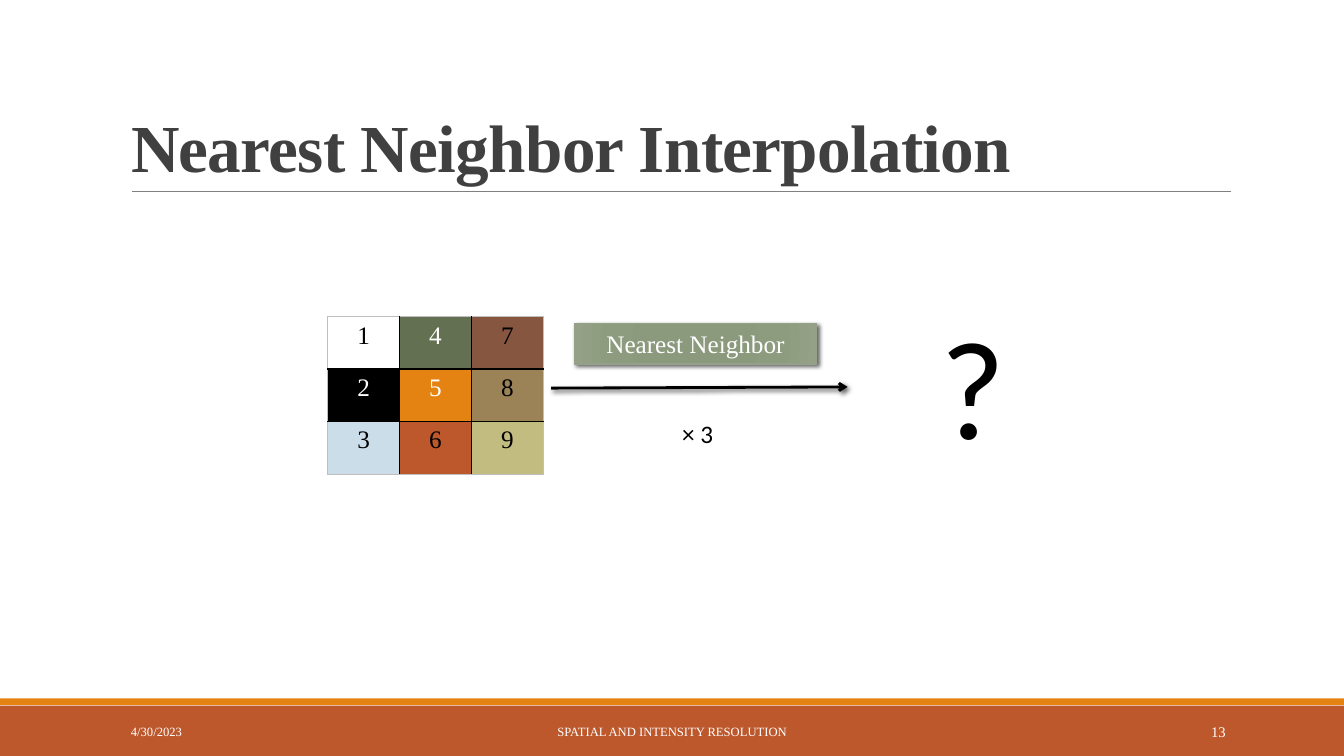
"""Build the slide on nearest neighbor interpolation."""
from dataclasses import dataclass

from pptx import Presentation
from pptx.dml.color import RGBColor
from pptx.enum.shapes import MSO_CONNECTOR, MSO_SHAPE
from pptx.enum.text import MSO_ANCHOR, PP_ALIGN
from pptx.oxml import parse_xml
from pptx.oxml.ns import nsdecls
from pptx.util import Cm, Pt

LEFT, CENTER, RIGHT = PP_ALIGN.LEFT, PP_ALIGN.CENTER, PP_ALIGN.RIGHT
TOP, MIDDLE, BOTTOM = MSO_ANCHOR.TOP, MSO_ANCHOR.MIDDLE, MSO_ANCHOR.BOTTOM
RECTANGLE, STRAIGHT = MSO_SHAPE.RECTANGLE, MSO_CONNECTOR.STRAIGHT

SERIF, SANS = "Times New Roman", "Calibri"
COLORS = {
    "white": "FFFFFF", "black": "000000", "title": "404040", "rule": "808080",
    "rust": "BD582C", "orange": "E48312", "label": "94A088", "grid": "BFBFBF",
    "moss": "637052", "brown": "865640", "tan": "9B8357", "sky": "CCDDEA",
    "khaki": "C2BC80",
}
LABEL_STOPS = {0: "8A987B", 34: "8B997D", 70: "8D9C7E", 100: "94A187"}
PIXEL_ROWS = [
    [("1", "white", "black"), ("4", "moss", "white"), ("7", "brown", "black")],
    [("2", "black", "white"), ("5", "orange", "white"), ("8", "tan", "black")],
    [("3", "sky", "black"), ("6", "rust", "black"), ("9", "khaki", "black")],
]
PIXEL_WIDTH, PIXEL_HEIGHT = 1.81, 1.32


@dataclass
class Band:
    top: float
    height: float
    color: str


@dataclass
class Caption:
    text: str
    box: tuple[float, float, float, float]
    size: float
    font: str = SERIF
    color: str = "white"
    align: int = CENTER
    anchor: int = MIDDLE


@dataclass
class Stroke:
    start: tuple[float, float]
    end: tuple[float, float]
    color: str
    width: float


BANDS = [Band(17.78, 1.27, "rust"), Band(17.6, 0.17, "orange")]
CAPTIONS = [
    Caption("4/30/2023", (3.05, 17.93, 6.86, 1.02), 9, align=LEFT),
    Caption("SPATIAL AND INTENSITY RESOLUTION", (10.24, 17.93, 13.39, 1.02), 9),
    Caption("13", (27.51, 17.93, 3.63, 1.02), 10.5, align=RIGHT),
    Caption("?", (21.49, 7.42, 6.05, 4.52), 100, SANS, "black", anchor=TOP),
    Caption("× 3", (15.09, 10.41, 4.98, 1.02), 18, SANS, "black", anchor=TOP),
]
METHOD = Caption("Nearest Neighbor", (14.48, 8.15, 6.1, 1.02), 18)
TITLE = Caption("Nearest Neighbor Interpolation", (3.05, 0.79, 27.94, 4.04),
                48, color="title", align=LEFT, anchor=BOTTOM)
TITLE_RULE = Stroke((3.33, 4.83), (31.01, 4.83), "rule", 0.5)
SCALING_ARROW = Stroke((13.89, 9.78), (21.36, 9.75), "black", 2)


def rgb(name: str) -> RGBColor:
    """Look up a named colour."""
    return RGBColor.from_string(COLORS[name])


def write(holder, caption: Caption) -> None:
    """Put the caption's text into a shape or cell and format it."""
    frame = holder.text_frame
    frame.text = caption.text
    frame.word_wrap = True
    frame.vertical_anchor = caption.anchor
    paragraph = frame.paragraphs[0]
    paragraph.alignment = caption.align
    font = paragraph.runs[0].font
    font.name, font.size = caption.font, Pt(caption.size)
    font.color.rgb = rgb(caption.color)


def add_effects(item, shadowed: bool) -> None:
    """Give a shape or connector a soft shadow, or none at all."""
    shadow = (
        '<a:outerShdw blurRad="38100" dist="25400" dir="2700000" rotWithShape="0">'
        '<a:srgbClr val="000000"><a:alpha val="60000"/></a:srgbClr></a:outerShdw>'
    ) if shadowed else ""
    item._element.spPr.append(
        parse_xml(f'<a:effectLst {nsdecls("a")}>{shadow}</a:effectLst>'))


def add_title(slide) -> None:
    """Fill and format the title placeholder."""
    title = slide.shapes.title
    title.left, title.top, title.width, title.height = map(Cm, TITLE.box)
    write(title, TITLE)
    paragraph = title.text_frame.paragraphs[0]
    paragraph.line_spacing = 0.85
    paragraph.runs[0].font.bold = True
    paragraph.runs[0]._r.get_or_add_rPr().set("spc", "-50")


def add_band(slide, band: Band, width: int) -> None:
    """Draw a coloured band across the slide."""
    strip = slide.shapes.add_shape(
        RECTANGLE, 0, Cm(band.top), width, Cm(band.height))
    strip.fill.solid()
    strip.fill.fore_color.rgb = rgb(band.color)
    strip.line.fill.background()
    strip.shadow.inherit = False


def add_stroke(slide, stroke: Stroke, arrow: bool = False) -> None:
    """Draw a line, with a head and a shadow if it is an arrow."""
    line = slide.shapes.add_connector(
        STRAIGHT, *map(Cm, stroke.start), *map(Cm, stroke.end))
    line.line.color.rgb = rgb(stroke.color)
    line.line.width = Pt(stroke.width)
    if arrow:
        line.line._get_or_add_ln().append(
            parse_xml(f'<a:tailEnd {nsdecls("a")} type="arrow"/>'))
    add_effects(line, arrow)


def add_method_label(slide) -> None:
    """Draw the shaded label above the arrow."""
    label = slide.shapes.add_shape(RECTANGLE, *map(Cm, METHOD.box))
    label.line.color.rgb = rgb("label")
    label.line.width = Pt(1)
    stops = "".join(
        f'<a:gs pos="{share * 1000}"><a:srgbClr val="{color}"/></a:gs>'
        for share, color in LABEL_STOPS.items())
    label._element.spPr.insert(2, parse_xml(
        f'<a:gradFill {nsdecls("a")} rotWithShape="1"><a:gsLst>{stops}</a:gsLst>'
        '<a:path path="circle"><a:fillToRect l="100000" t="100000" r="100000" '
        'b="100000"/></a:path></a:gradFill>'))
    add_effects(label, True)
    write(label, METHOD)


def set_borders(cell, outer_edges: dict[str, bool]) -> None:
    """Draw black inner borders and thin grey outer ones."""
    for position, (edge, outer) in enumerate(outer_edges.items()):
        color, width = ("grid", 0.5) if outer else ("black", 1)
        cell._tc.get_or_add_tcPr().insert(position, parse_xml(
            f'<a:ln{edge} {nsdecls("a")} w="{Pt(width)}"><a:solidFill>'
            f'<a:srgbClr val="{COLORS[color]}"/></a:solidFill></a:ln{edge}>'))


def add_pixel_table(slide) -> None:
    """Draw the grid of numbered pixels."""
    last = len(PIXEL_ROWS) - 1
    table = slide.shapes.add_table(
        last + 1, last + 1, Cm(8.26), Cm(7.98),
        Cm(PIXEL_WIDTH * (last + 1)), Cm(PIXEL_HEIGHT * (last + 1))).table
    table.first_row = table.horz_banding = False
    for column in table.columns:
        column.width = Cm(PIXEL_WIDTH)
    for row, pixels in enumerate(PIXEL_ROWS):
        table.rows[row].height = Cm(PIXEL_HEIGHT)
        for col, (number, fill, ink) in enumerate(pixels):
            cell = table.cell(row, col)
            write(cell, Caption(number, (), 18, color=ink, anchor=TOP))
            cell.fill.solid()
            cell.fill.fore_color.rgb = rgb(fill)
            set_borders(cell, {"L": col == 0, "R": col == last,
                               "T": row == 0, "B": row == last})


def main() -> None:
    """Assemble and save the slide."""
    deck = Presentation()
    deck.slide_width, deck.slide_height = Cm(33.87), Cm(19.05)
    slide = deck.slides.add_slide(deck.slide_layouts[5])
    for band in BANDS:
        add_band(slide, band, deck.slide_width)
    add_stroke(slide, TITLE_RULE)
    add_title(slide)
    add_method_label(slide)
    add_stroke(slide, SCALING_ARROW, arrow=True)
    for caption in CAPTIONS:
        write(slide.shapes.add_textbox(*map(Cm, caption.box)), caption)
    add_pixel_table(slide)
    deck.save("out.pptx")


if __name__ == "__main__":
    main()
